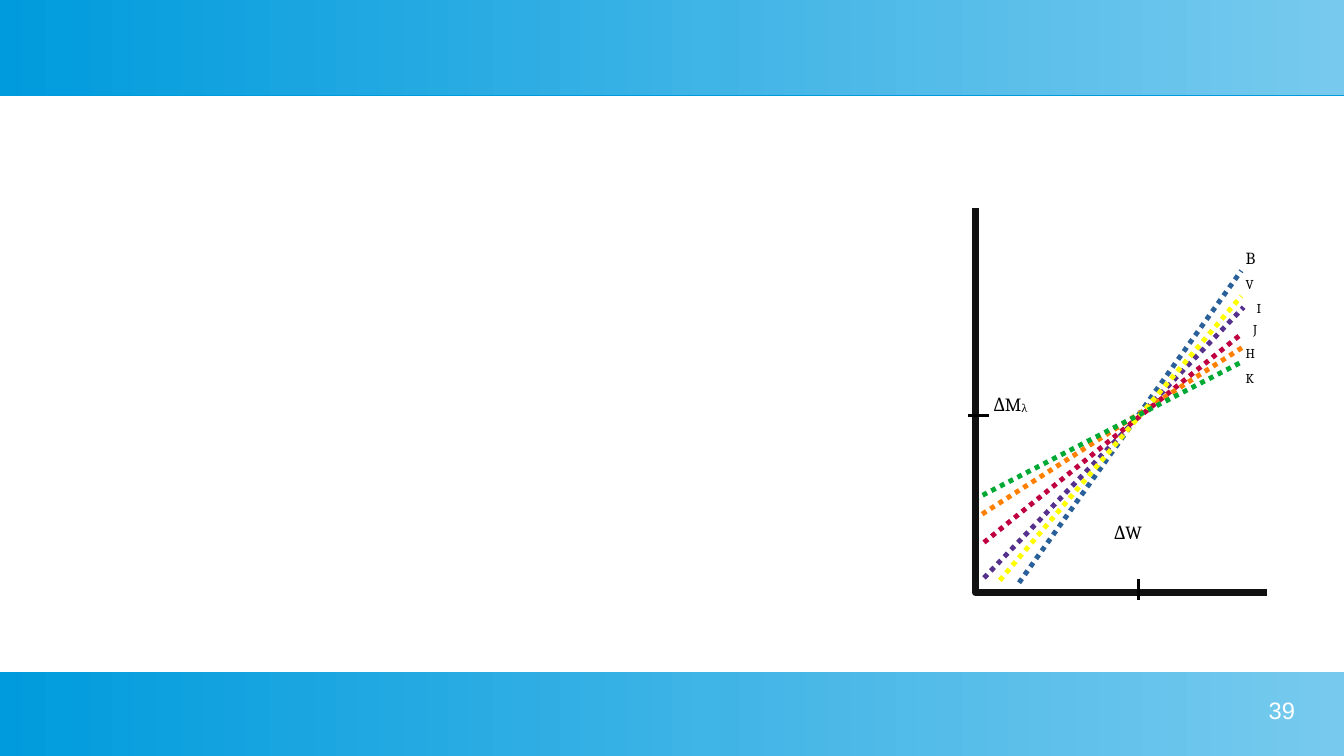
import dataclasses
import typing

import lxml.etree
import pptx
import pptx.dml.color
import pptx.enum.dml
import pptx.enum.shapes
import pptx.enum.text
import pptx.oxml.ns
import pptx.util

Cm = pptx.util.Cm
Pt = pptx.util.Pt
rgb = pptx.dml.color.RGBColor.from_string
qn = pptx.oxml.ns.qn


@dataclasses.dataclass(frozen=True)
class Theme:
    band_light: str = "77CAEE"
    band_dark: str = "009BDD"
    axis: str = "111111"
    ink: str = "000000"
    white: str = "FFFFFF"
    serif: str = "Cambria"
    sans: str = "Arial"
    axis_name: float = 11
    big_label: float = 10
    label: float = 8
    number: float = 14
    dotted: float = 2.89
    axis_width: float = 4.31


THEME = Theme()


class Band(typing.NamedTuple):
    top: float
    height: float


class Line(typing.NamedTuple):
    x1: float
    y1: float
    x2: float
    y2: float
    color: str = THEME.ink
    width: float = 0
    dotted: bool = False


class Label(typing.NamedTuple):
    text: str
    left: float
    top: float
    width: float
    height: float = 0.74
    size: float = THEME.label
    font: str = THEME.serif
    color: str = THEME.ink
    inset_x: float = 0.25
    inset_y: float = 0.13
    align: typing.Any = pptx.enum.text.PP_ALIGN.LEFT
    subscript: str = ""


SLIDE_W, SLIDE_H = 28, 15.75
AXIS_X, AXIS_TOP, AXIS_Y, AXIS_RIGHT = 20.32, 4.34, 12.34, 26.39

BANDS = [Band(0, 1.98), Band(14, 1.75)]

FILTER_LINES = [
    Line(*ends, color, THEME.dotted, True)
    for ends, color in [
        ((21.23, 12.14, 25.86, 5.64), "2A6099"),
        ((20.5, 12.04, 25.91, 6.4), "55308D"),
        ((20.5, 11.3, 25.86, 6.96), "BF0041"),
        ((20.29, 10.82, 25.88, 7.24), "FF8000"),
        ((20.83, 12.09, 25.86, 6.17), "FFFF00"),
        ((20.29, 10.41, 25.91, 7.52), "00A933"),
    ]
]
TICKS = [Line(20.17, 8.66, 20.6, 8.66), Line(23.72, 12.07, 23.72, 12.5)]

LABELS = [
    Label("ΔM", 20.45, 8.05, 2.13, 1.65, THEME.axis_name, subscript="λ"),
    Label("ΔW", 22.96, 10.72, 3.12, 2.01, THEME.axis_name),
    Label("B", 25.7, 5.03, 0.69, size=THEME.big_label),
    Label("V", 25.7, 5.61, 0.69),
    Label("I", 25.93, 6.12, 0.53),
    Label("J", 25.86, 6.55, 0.61),
    Label("H", 25.7, 7.06, 0.71),
    Label("K", 25.7, 7.57, 0.69),
    Label("39", 20.5, 14.5, 6.48, 0.99, THEME.number, THEME.sans, THEME.white,
          0, 0, pptx.enum.text.PP_ALIGN.RIGHT),
]


def apply(target: typing.Any, values: dict[str, typing.Any]) -> None:
    for name, value in values.items():
        setattr(target, name, value)


def add_effects(shape: typing.Any) -> typing.Any:
    return lxml.etree.SubElement(shape._element.spPr, qn("a:effectLst"))


def add_band(s: typing.Any, band: Band) -> None:
    sp = s.shapes.add_shape(pptx.enum.shapes.MSO_SHAPE.RECTANGLE,
                            0, Cm(band.top), Cm(SLIDE_W), Cm(band.height))
    sp.fill.gradient()
    sp.fill.gradient_angle = 180
    for stop, color in zip(sp.fill.gradient_stops, (THEME.band_light, THEME.band_dark)):
        stop.color.rgb = rgb(color)
    sp.line.fill.background()
    shadow = lxml.etree.SubElement(
        add_effects(sp), qn("a:outerShdw"),
        blurRad="0", dist=str(Pt(0.9)), dir="5400000", algn="ctr", rotWithShape="0")
    lxml.etree.SubElement(shadow, qn("a:srgbClr"), val=THEME.band_dark)


def add_line(s: typing.Any, line: Line) -> None:
    c = s.shapes.add_connector(pptx.enum.shapes.MSO_CONNECTOR.STRAIGHT,
                               Cm(line.x1), Cm(line.y1), Cm(line.x2), Cm(line.y2))
    c.line.color.rgb = rgb(line.color)
    c.line.width = Pt(line.width)
    if line.dotted:
        c.line.dash_style = pptx.enum.dml.MSO_LINE.ROUND_DOT
    add_effects(c)


def add_axes(s: typing.Any) -> None:
    fb = s.shapes.build_freeform(Cm(AXIS_X), Cm(AXIS_TOP))
    fb.add_line_segments([(Cm(AXIS_X), Cm(AXIS_Y)), (Cm(AXIS_RIGHT), Cm(AXIS_Y))],
                         close=False)
    sp = fb.convert_to_shape()
    sp.fill.background()
    sp.line.color.rgb = rgb(THEME.axis)
    sp.line.width = Pt(THEME.axis_width)
    sp.shadow.inherit = False


def add_run(p: typing.Any, text: str, label: Label) -> typing.Any:
    r = p.add_run()
    r.text = text
    apply(r.font, {"name": label.font, "size": Pt(label.size)})
    r.font.color.rgb = rgb(label.color)
    return r


def add_label(s: typing.Any, label: Label) -> None:
    tf = s.shapes.add_textbox(Cm(label.left), Cm(label.top),
                              Cm(label.width), Cm(label.height)).text_frame
    apply(tf, {
        "word_wrap": True,
        "margin_left": Cm(label.inset_x),
        "margin_right": Cm(label.inset_x),
        "margin_top": Cm(label.inset_y),
        "margin_bottom": Cm(label.inset_y),
    })
    p = tf.paragraphs[0]
    p.alignment = label.align
    add_run(p, label.text, label)
    if label.subscript:
        r = add_run(p, label.subscript, label)
        r._r.get_or_add_rPr().set("baseline", "-8000")


def main() -> None:
    prs = pptx.Presentation()
    apply(prs, {"slide_width": Cm(SLIDE_W), "slide_height": Cm(SLIDE_H)})
    s = prs.slides.add_slide(prs.slide_layouts[6])
    for band in BANDS:
        add_band(s, band)
    for line in FILTER_LINES:
        add_line(s, line)
    add_axes(s)
    for tick in TICKS:
        add_line(s, tick)
    for label in LABELS:
        add_label(s, label)
    prs.save("out.pptx")


if __name__ == "__main__":
    main()
